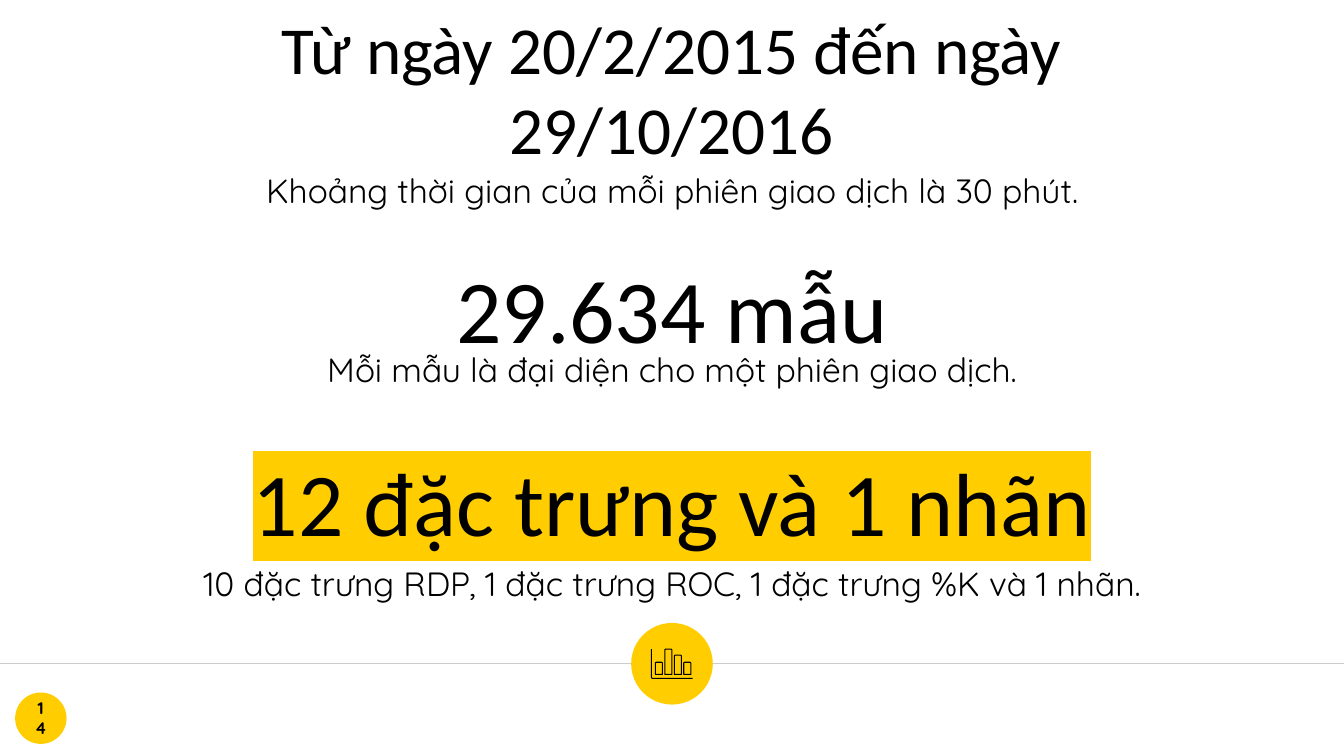
"""Build the slide that sums up the trading data set."""
from lxml import etree
from pptx import Presentation
from pptx.dml.color import RGBColor
from pptx.enum import shapes, text
from pptx.oxml import ns
from pptx.util import Inches, Pt

GOLD, BLACK, GREY = "FFCD00", "000000", "CCCCCC"
KIND = shapes.MSO_SHAPE


def color(code):
    return RGBColor.from_string(code)


def write(shape, words, size, font="Quicksand", bold=False, inset=0.13,
          anchor=text.MSO_ANCHOR.TOP, mark=None):
    frame = shape.text_frame
    frame.word_wrap = True
    frame.auto_size = text.MSO_AUTO_SIZE.NONE
    frame.vertical_anchor = anchor
    frame.margin_left = frame.margin_right = Inches(inset)
    frame.margin_top = frame.margin_bottom = Inches(inset)
    line = frame.paragraphs[0]
    line.alignment = text.PP_ALIGN.CENTER
    run = line.add_run()
    run.text = words
    run.font.size = Pt(size)
    run.font.name = font
    run.font.bold = bold
    run.font.color.rgb = color(BLACK)
    if mark:
        glow = etree.Element(ns.qn("a:highlight"))
        etree.SubElement(glow, ns.qn("a:srgbClr"), val=mark)
        run.font._element.find(ns.qn("a:solidFill")).addnext(glow)


deck = Presentation()
deck.slide_width, deck.slide_height = Inches(13.33), Inches(7.5)
slide = deck.slides.add_slide(deck.slide_layouts[6])
items = slide.shapes

rule = items.add_connector(shapes.MSO_CONNECTOR.STRAIGHT, Inches(0), Inches(6.58),
                           Inches(13.33), Inches(6.58))
rule.line.color.rgb = color(GREY)
rule.line.width = Pt(0.75)
etree.SubElement(rule._element.spPr, ns.qn("a:effectLst"))

discs = []
for left, top, size in [(6.26, 6.18, 0.81), (0.15, 6.87, 0.51)]:
    disc = items.add_shape(KIND.OVAL, Inches(left), Inches(top), Inches(size), Inches(size))
    disc.shadow.inherit = False
    disc.fill.solid()
    disc.fill.fore_color.rgb = color(GOLD)
    disc.line.fill.background()
    discs.append(disc)
write(discs[1], "14", 12, bold=True, inset=0.1, anchor=text.MSO_ANCHOR.MIDDLE)

facts = [
    (0.5, "Từ ngày 20/2/2015 đến ngày 29/10/2016", 48, None,
     1.56, "Khoảng thời gian của mỗi phiên giao dịch là 30 phút."),
    (2.42, "29.634 mẫu", 64, None,
     3.33, "Mỗi mẫu là đại diện cho một phiên giao dịch."),
    (4.33, "12 đặc trưng và 1 nhãn", 64, GOLD,
     5.45, "10 đặc trưng RDP, 1 đặc trưng ROC, 1 đặc trưng %K và 1 nhãn."),
]
for top, title, size, mark, low, note in facts:
    head = items.add_textbox(Inches(1), Inches(top), Inches(11.33), Inches(1.3))
    write(head, title, size, font="Calibri", anchor=text.MSO_ANCHOR.BOTTOM, mark=mark)
    body = items.add_textbox(Inches(1), Inches(low), Inches(11.33), Inches(0.68))
    write(body, note, 24)

path = items.build_freeform(Inches(6.46), Inches(6.44))
path.add_line_segments([(Inches(x), Inches(y)) for x, y in
                        [(6.46, 6.72), (6.47, 6.73), (6.87, 6.73)]], close=False)
icon = [path.convert_to_shape()]
for spot, tall in enumerate([0.12, 0.25, 0.19, 0.12]):
    bar = items.add_shape(KIND.ROUND_2_SAME_RECTANGLE, Inches(6.5 + 0.094 * spot),
                          Inches(6.69 - tall), Inches(0.07), Inches(tall))
    bar.adjustments[0] = 0.12
    icon.append(bar)
for part in icon:
    part.shadow.inherit = False
    part.fill.background()
    part.line.color.rgb = color(BLACK)
    part.line.width = Pt(0.75)

deck.save("out.pptx")
